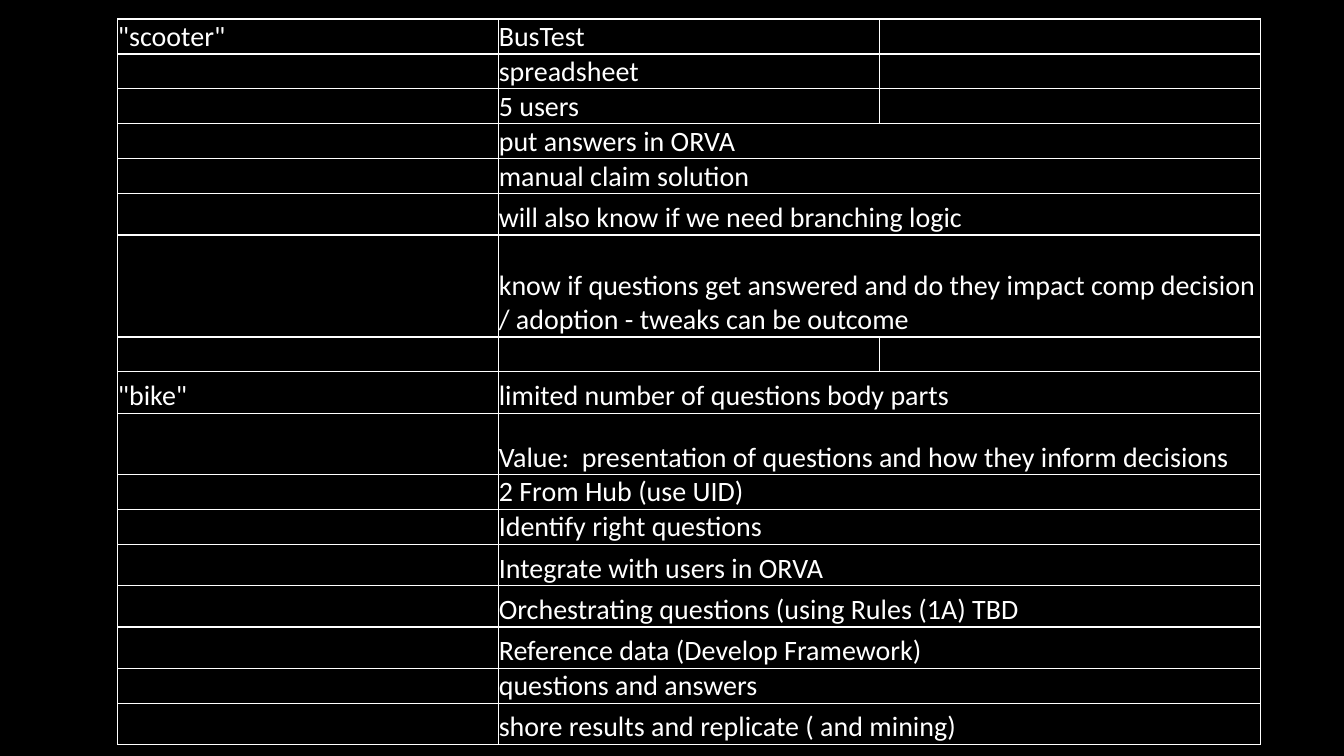
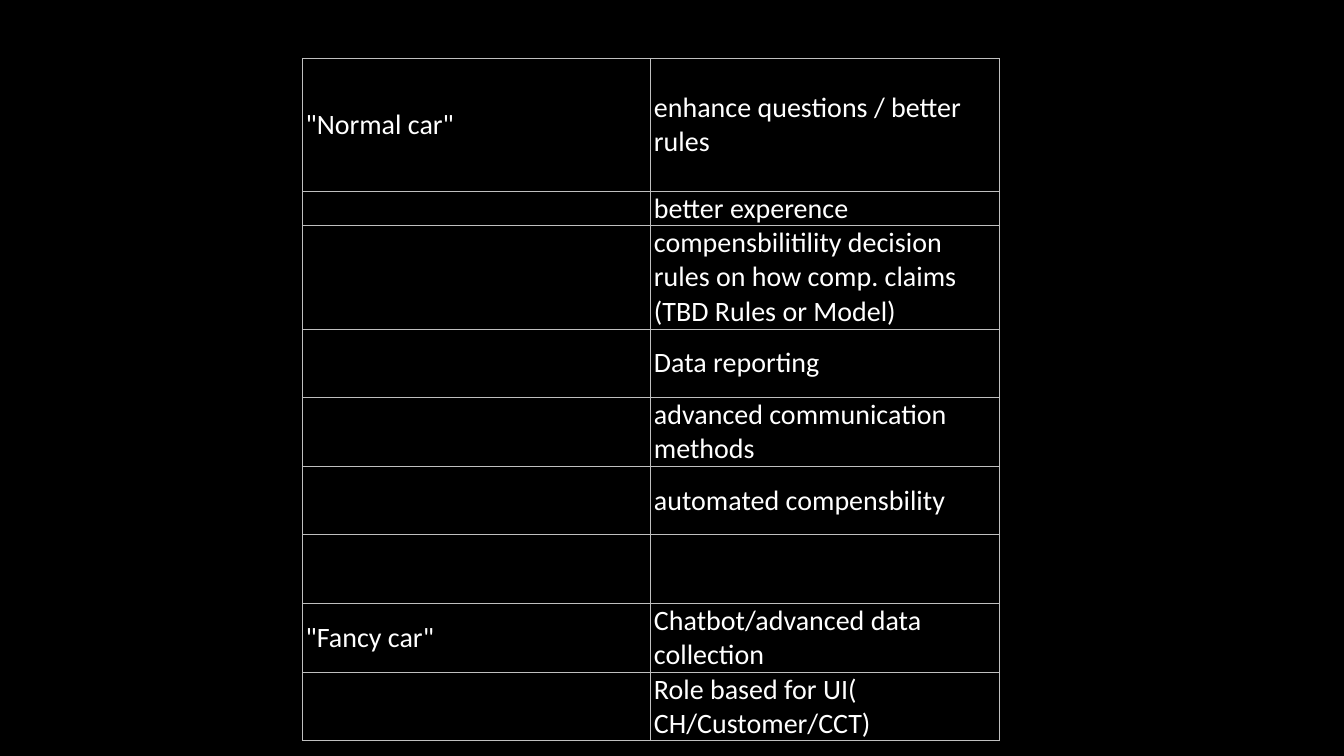
from dataclasses import dataclass

from lxml.etree import SubElement
from pptx import Presentation
from pptx.dml.color import RGBColor
from pptx.enum.text import MSO_ANCHOR
from pptx.oxml.ns import qn
from pptx.util import Cm, Pt


@dataclass(frozen=True)
class Theme:
    background: str = "000000"
    text: str = "FFFFFF"
    strong_line: str = "FFFFFF"
    soft_line: str = "BFBFBF"
    font: str = "Calibri"
    size: int = 20


class Deck:
    """Holds the theme, the presentation and the current slide."""

    def __init__(self, theme):
        self.theme = theme
        self.prs = Presentation()
        self.prs.slide_width, self.prs.slide_height = Cm(33.87), Cm(19.05)
        fill = self.prs.slide_master.background.fill
        fill.solid()
        fill.fore_color.rgb = RGBColor.from_string(theme.background)
        self.s = None

    def slide(self):
        self.s = self.prs.slides.add_slide(self.prs.slide_layouts[6])

    def table(self, left, top, col_width, n_cols, rows, anchor, side, line, line_width):
        """Each row is (height, label, entry, columns the entry spans)."""
        height = sum(row[0] for row in rows)
        frame = self.s.shapes.add_table(len(rows), n_cols, Cm(left), Cm(top),
                                        Cm(col_width * n_cols), Cm(height))
        table = frame.table
        table.first_row = table.horz_banding = False
        for column in table.columns:
            column.width = Cm(col_width)
        for i, (row_height, label, entry, span) in enumerate(rows):
            table.rows[i].height = Cm(row_height)
            for j in range(n_cols):
                cell = table.cell(i, j)
                text = (label, entry)[j] if j < 2 else ""
                self.cell(cell, text, anchor, side)
                self.borders(cell, line, line_width)
            if span > 1:
                table.cell(i, 1).merge(table.cell(i, span))

    def cell(self, cell, text, anchor, side):
        cell.fill.background()
        cell.vertical_anchor = anchor
        cell.margin_left = cell.margin_right = Cm(side)
        cell.margin_top = cell.margin_bottom = 0
        if not text:
            return
        cell.text_frame.text = text
        font = cell.text_frame.paragraphs[0].runs[0].font
        font.name, font.size = self.theme.font, Pt(self.theme.size)
        font.color.rgb = RGBColor.from_string(self.theme.text)

    def borders(self, cell, color, width):
        tcPr = cell._tc.get_or_add_tcPr()
        for i, edge in enumerate(("lnL", "lnR", "lnT", "lnB")):
            ln = SubElement(tcPr, qn(f"a:{edge}"), w=str(Pt(width)))
            SubElement(SubElement(ln, qn("a:solidFill")), qn("a:srgbClr"), val=color)
            tcPr.insert(i, ln)  # borders precede the fill


# Row heights in centimetres
LINE, LOOSE = 0.88, 1.04
SINGLE, DOUBLE = 0.87, 1.73

EARLY_STAGES = [
    (LINE, '"scooter"', "BusTest", 1),
    (LINE, "", "spreadsheet", 1),
    (LINE, "", "5 users", 1),
    (LINE, "", "put answers in ORVA", 2),
    (LINE, "", "manual claim solution", 2),
    (LOOSE, "", "will also know if we need branching logic", 2),
    (2.57, "", "know if questions get answered and do they impact comp decision "
               "/ adoption - tweaks can be outcome", 2),
    (LINE, "", "", 1),
    (LOOSE, '"bike"', "limited number of questions body parts", 2),
    (1.55, "", "Value:  presentation of questions and how they inform decisions", 2),
    (LINE, "", "2 From Hub (use UID)", 2),
    (LINE, "", "Identify right questions", 2),
    (LOOSE, "", "Integrate with users in ORVA", 2),
    (LOOSE, "", "Orchestrating questions (using Rules (1A) TBD", 2),
    (LOOSE, "", "Reference data (Develop Framework)", 2),
    (LINE, "", "questions and answers", 2),
    (LOOSE, "", "shore results and replicate ( and mining)", 2),
]

LATE_STAGES = [
    (3.35, '"Normal car"', "enhance questions / better rules", 1),
    (SINGLE, "", "better experence", 1),
    (2.6, "", "compensbilitility decision rules on how comp. claims "
              "(TBD Rules or Model)", 1),
    (DOUBLE, "", "Data reporting", 1),
    (DOUBLE, "", "advanced communication methods", 1),
    (DOUBLE, "", "automated compensbility", 1),
    (DOUBLE, "", "", 1),
    (DOUBLE, '"Fancy car"', "Chatbot/advanced data collection", 1),
    (DOUBLE, "", "Role based for UI( CH/Customer/CCT)", 1),
]


def main():
    theme = Theme()
    deck = Deck(theme)

    # Scooter and bike
    deck.slide()
    deck.table(2.97, 0.48, 9.6, 3, EARLY_STAGES, MSO_ANCHOR.BOTTOM, 0,
               theme.strong_line, 1)

    # Normal car and fancy car
    deck.slide()
    deck.table(7.62, 1.47, 8.78, 2, LATE_STAGES, MSO_ANCHOR.MIDDLE, 0.08,
               theme.soft_line, 0.75)

    deck.prs.save("out.pptx")


if __name__ == "__main__":
    main()
